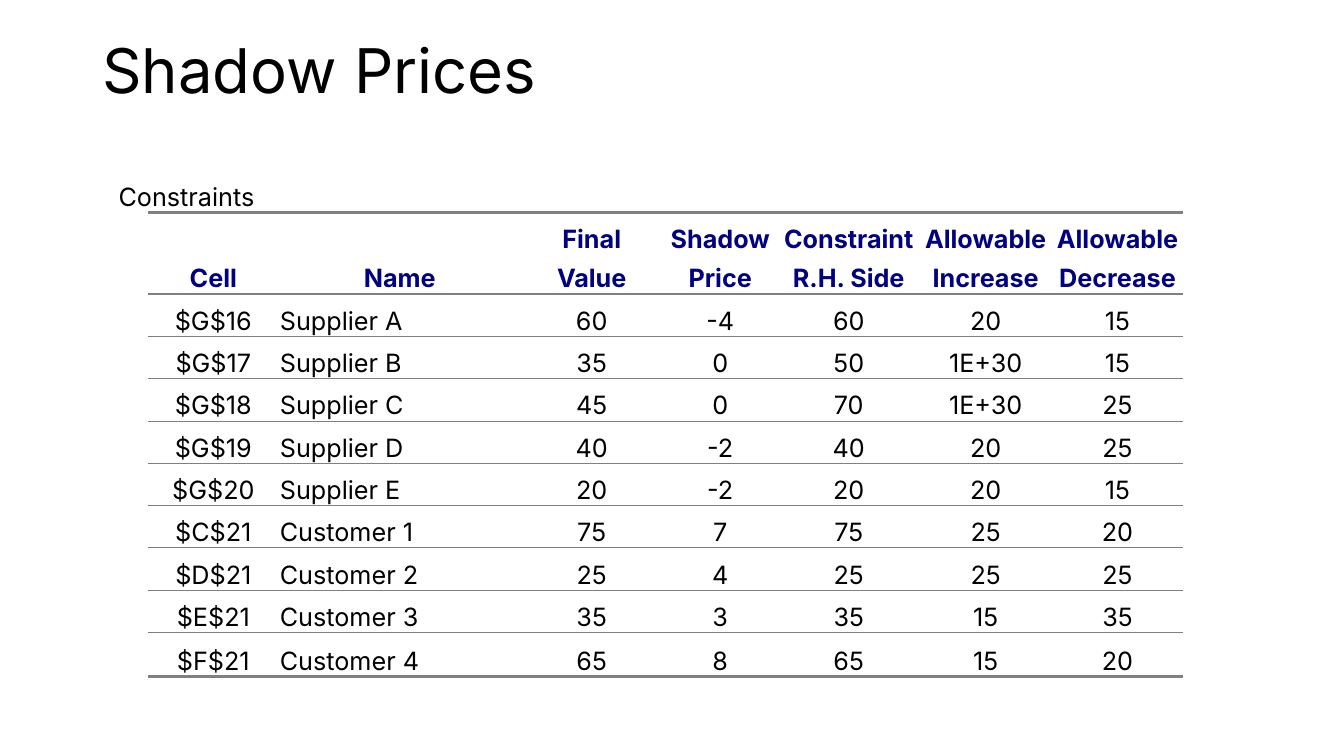
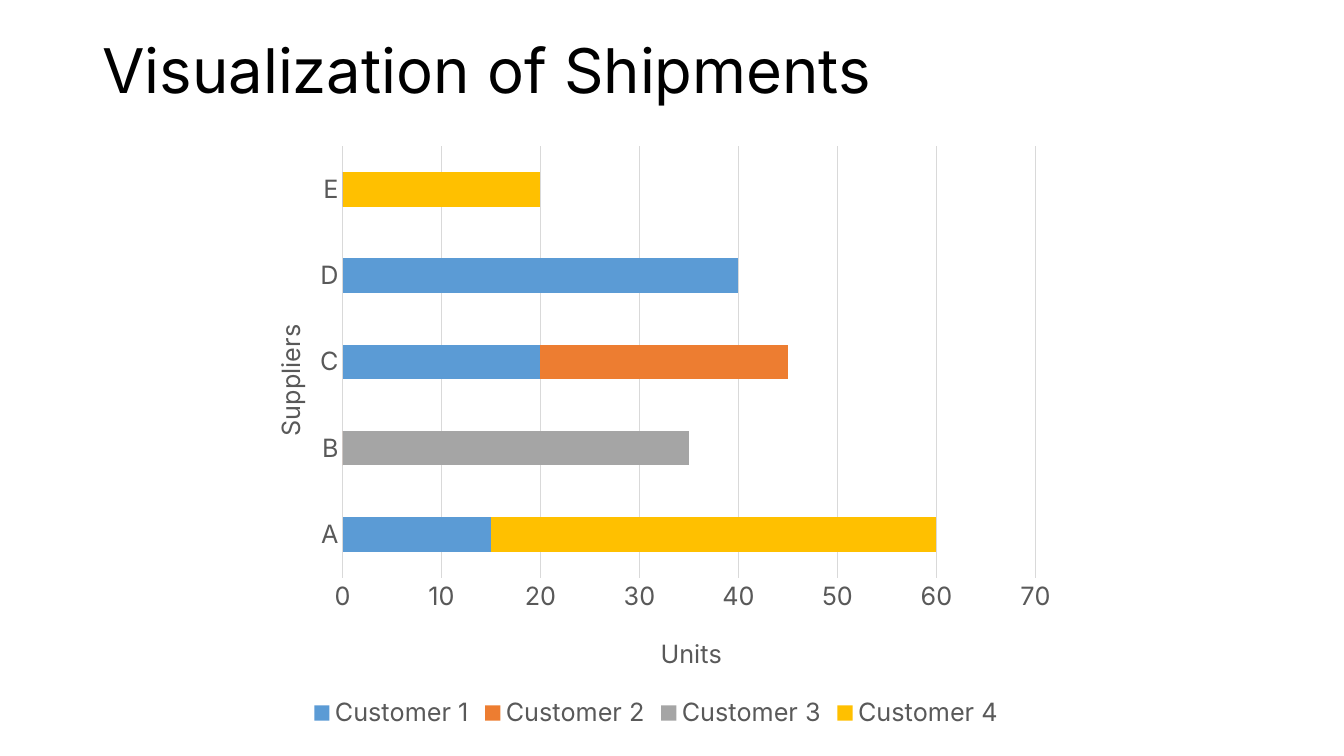
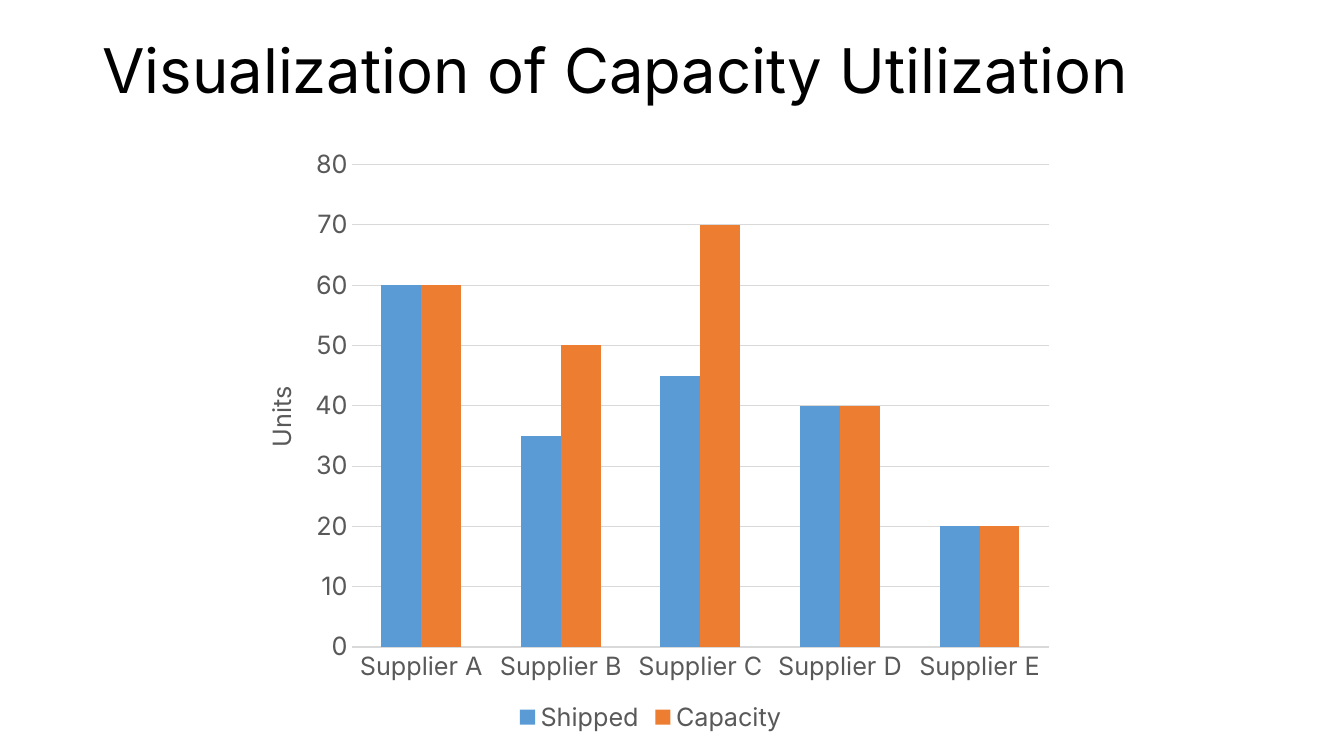
from lxml import etree
from pptx import Presentation
from pptx.chart.data import CategoryChartData
from pptx.dml.color import RGBColor
from pptx.enum.chart import XL_CHART_TYPE, XL_LEGEND_POSITION, XL_TICK_MARK
from pptx.enum.text import MSO_ANCHOR, PP_ALIGN
from pptx.oxml.ns import qn
from pptx.util import Inches, Pt

STACKED_BARS = XL_CHART_TYPE.BAR_STACKED
COLUMNS = XL_CHART_TYPE.COLUMN_CLUSTERED
LEGEND_BOTTOM = XL_LEGEND_POSITION.BOTTOM
NO_TICKS = XL_TICK_MARK.NONE
MIDDLE, BOTTOM = MSO_ANCHOR.MIDDLE, MSO_ANCHOR.BOTTOM
LEFT, CENTER = PP_ALIGN.LEFT, PP_ALIGN.CENTER

COLORS = {
    "text": "000000", "heading": "000080", "rule": "808080",
    "label": "595959", "grid": "D9D9D9",
    "blue": "5B9BD5", "orange": "ED7D31", "gray": "A5A5A5", "gold": "FFC000",
}
SERIES_COLORS = ["blue", "orange", "gray", "gold"]
THICK, THIN = 2.25, 0.5
GRID_COLUMNS, GRID_ROWS = 160, 90


class Deck:
    """Hold the shared style and the current slide, placed on a 160 by 90 grid."""

    font_name = "Inter"
    title_size, body_size = 44, 18

    def __init__(self):
        self.presentation = Presentation()
        self.presentation.slide_width = Inches(13.33)
        self.presentation.slide_height = Inches(7.5)
        self.slide = None

    def across(self, columns):
        return round(self.presentation.slide_width * columns / GRID_COLUMNS)

    def down(self, rows):
        return round(self.presentation.slide_height * rows / GRID_ROWS)

    def box(self, left, top, width, height):
        return self.across(left), self.down(top), self.across(width), self.down(height)

    def style(self, font, color="text", size=body_size, bold=False):
        font.name, font.size, font.bold = self.font_name, Pt(size), bold
        font.color.rgb = RGBColor.from_string(COLORS[color])

    def add_slide(self, title):
        self.slide = self.presentation.slides.add_slide(self.presentation.slide_layouts[6])
        frame = self.slide.shapes.add_textbox(*self.box(11, 0.1, 138, 17.4)).text_frame
        frame.word_wrap = True
        frame.vertical_anchor = MIDDLE
        heading = frame.paragraphs[0]
        heading.text = title
        heading.line_spacing = 0.9
        self.style(heading.font, size=self.title_size)

    def border(self, cell, side, width):
        line = etree.SubElement(cell._tc.get_or_add_tcPr(), qn(f"a:ln{side}"))
        if not width:
            etree.SubElement(line, qn("a:noFill"))
            return
        line.set("w", str(Pt(width)))
        fill = etree.SubElement(line, qn("a:solidFill"))
        etree.SubElement(fill, qn("a:srgbClr"), val=COLORS["rule"])

    def add_table(self, left, top, widths, heights, rows, header_rows, rules):
        table = self.slide.shapes.add_table(
            len(rows), len(widths), *self.box(left, top, sum(widths), sum(heights))).table
        table.first_row = table.horz_banding = False
        for column, width in zip(table.columns, widths):
            column.width = self.across(width)
        for row, height in zip(table.rows, heights):
            row.height = self.down(height)
        for r, texts in enumerate(rows):
            for c, text in enumerate(texts):
                cell = table.cell(r, c)
                cell.margin_left = cell.margin_right = cell.margin_top = Inches(0.01)
                cell.margin_bottom = 0
                cell.vertical_anchor = BOTTOM
                header = r in header_rows
                entry = cell.text_frame.paragraphs[0]
                entry.text = text
                entry.alignment = CENTER if c and (header or c != 2) else LEFT
                self.style(entry.font, "heading" if header else "text", bold=header)
                edges = {"L": 0, "R": 0, "T": rules.get(r - 1, 0), "B": rules.get(r, 0)}
                for side, width in edges.items():
                    self.border(cell, side, width if c else 0)
                cell.fill.background()
        table.cell(0, 0).merge(table.cell(0, 1))

    def place(self, part, **shares):
        layout = part.find(qn("c:layout"))
        if layout is None:
            layout = etree.Element(qn("c:layout"))
            part.insert(len(part.findall(qn("c:tx"))), layout)
        manual = etree.SubElement(layout, qn("c:manualLayout"))
        if "w" in shares:
            etree.SubElement(manual, qn("c:layoutTarget"), val="inner")
        for key in "xy":
            etree.SubElement(manual, qn(f"c:{key}Mode"), val="edge")
        for key, share in shares.items():
            etree.SubElement(manual, qn(f"c:{key}"), val=str(share))

    def add_axis_title(self, axis, text, x, y, upright):
        frame = axis.axis_title.text_frame
        label = frame.paragraphs[0]
        label.text = text
        self.style(label.font, "label")
        title = axis.axis_title.element
        turn = "-5400000" if upright else "0"
        title.find(f".//{qn('a:bodyPr')}").set("rot", turn)
        self.place(title, x=x, y=y)

    def add_chart(self, kind, area, plot_area, categories, series, maximum):
        chart_data = CategoryChartData()
        chart_data.categories = categories
        for name, values in series.items():
            chart_data.add_series(name, values)
        chart = self.slide.shapes.add_chart(kind, *self.box(*area), chart_data).chart
        self.style(chart.font)
        chart.has_title = False
        chart.has_legend = True
        chart.legend.position = LEGEND_BOTTOM
        chart.legend.include_in_layout = False
        self.style(chart.legend.font, "label")
        for axis in (chart.category_axis, chart.value_axis):
            axis.major_tick_mark = axis.minor_tick_mark = NO_TICKS
            axis.format.line.fill.background()
            self.style(axis.tick_labels.font, "label")
        scale = chart.value_axis
        scale.minimum_scale, scale.maximum_scale, scale.major_unit = 0, maximum, 10
        self.draw_line(scale.major_gridlines)
        plot = chart.plots[0]
        plot.vary_by_categories = False
        plot.gap_width = 150
        plot.overlap = 100 if kind == STACKED_BARS else 0
        for bars, color in zip(plot.series, SERIES_COLORS):
            bars.format.fill.solid()
            bars.format.fill.fore_color.rgb = RGBColor.from_string(COLORS[color])
            bars.invert_if_negative = False
        self.place(chart.element.find(f".//{qn('c:plotArea')}"), **plot_area)
        return chart

    def draw_line(self, part):
        part.format.line.color.rgb = RGBColor.from_string(COLORS["grid"])
        part.format.line.width = Pt(0.75)


CONSTRAINTS = [
    ["Constraints"] + [""] * 7,
    ["", "", "", "Final", "Shadow", "Constraint", "Allowable", "Allowable"],
    ["", "Cell", "Name", "Value", "Price", "R.H. Side", "Increase", "Decrease"],
    ["", "$G$16", "Supplier A", "60", "-4", "60", "20", "15"],
    ["", "$G$17", "Supplier B", "35", "0", "50", "1E+30", "15"],
    ["", "$G$18", "Supplier C", "45", "0", "70", "1E+30", "25"],
    ["", "$G$19", "Supplier D", "40", "-2", "40", "20", "25"],
    ["", "$G$20", "Supplier E", "20", "-2", "20", "20", "15"],
    ["", "$C$21", "Customer 1", "75", "7", "75", "25", "20"],
    ["", "$D$21", "Customer 2", "25", "4", "25", "25", "25"],
    ["", "$E$21", "Customer 3", "35", "3", "35", "15", "35"],
    ["", "$F$21", "Customer 4", "65", "8", "65", "15", "20"],
]
SUPPLIERS = "ABCDE"
SHIPMENTS = {
    "Customer 1": [15, 0, 20, 40, 0],
    "Customer 2": [0, 0, 25, 0, 0],
    "Customer 3": [0, 35, 0, 0, 0],
    "Customer 4": [45, 0, 0, 0, 20],
}
UTILIZATION = {"Shipped": [60, 35, 45, 40, 20], "Capacity": [60, 50, 70, 40, 20]}

deck = Deck()

deck.add_slide("Shadow Prices")
deck.add_table(
    14, 20,
    widths=[3.6, 15.6, 28.8, 16.9, 13.7, 16.9, 15.7, 15.7],
    heights=[5.28, 5.04, 4.68] + [5.04] * 8 + [5.28],
    rows=CONSTRAINTS, header_rows=(1, 2),
    rules={0: THICK, 2: THICK, **dict.fromkeys(range(3, 11), THIN), 11: THICK})

deck.add_slide("Visualization of Shipments")
shipments = deck.add_chart(
    STACKED_BARS, (29, 16, 98.2, 71.3), dict(x=0.12, y=0.02, w=0.84, h=0.72),
    list(SUPPLIERS), SHIPMENTS, maximum=70)
deck.draw_line(shipments.category_axis)
deck.add_axis_title(shipments.category_axis, "Suppliers", 0.03, 0.31, upright=True)
deck.add_axis_title(shipments.value_axis, "Units", 0.5, 0.83, upright=False)

deck.add_slide("Visualization of Capacity Utilization")
utilization = deck.add_chart(
    COLUMNS, (28, 16, 98.9, 71.8), dict(x=0.14, y=0.05, w=0.84, h=0.8),
    [f"Supplier {letter}" for letter in SUPPLIERS], UTILIZATION, maximum=80)
deck.add_axis_title(utilization.value_axis, "Units", 0.03, 0.41, upright=True)

deck.presentation.save("out.pptx")
